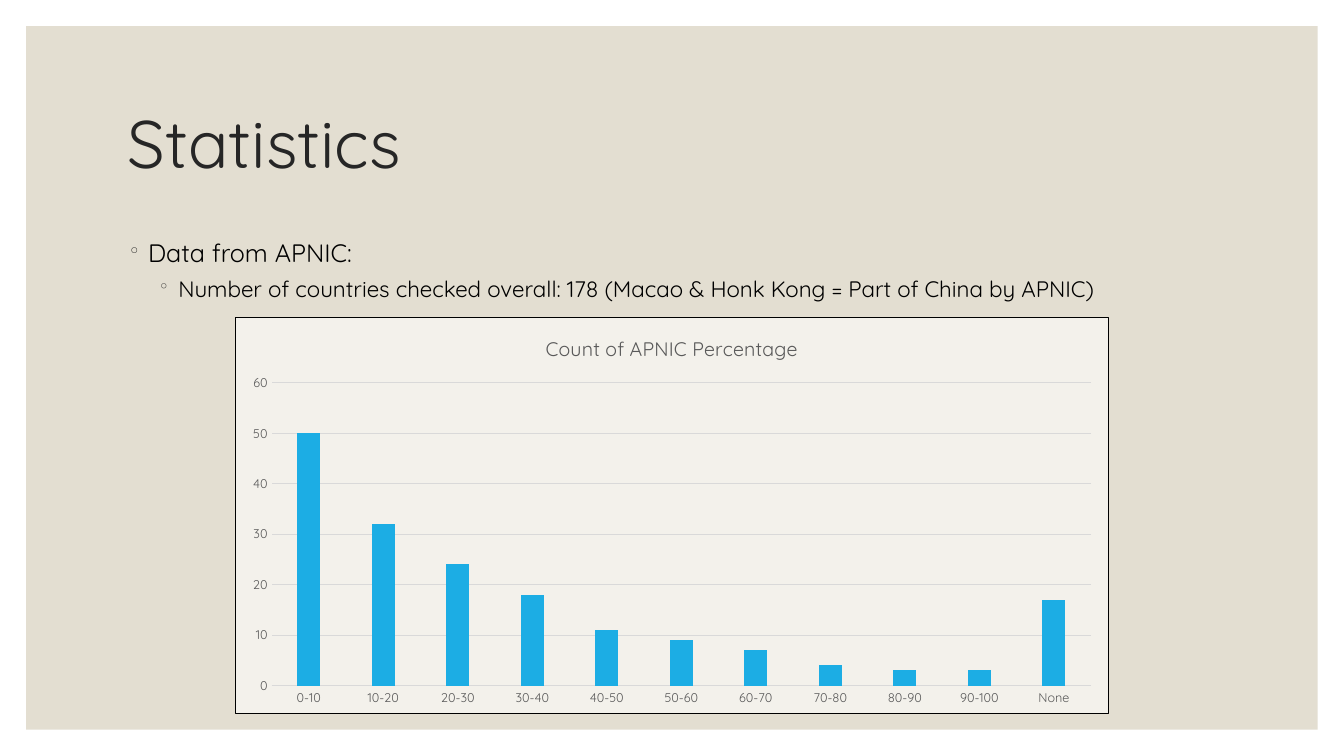
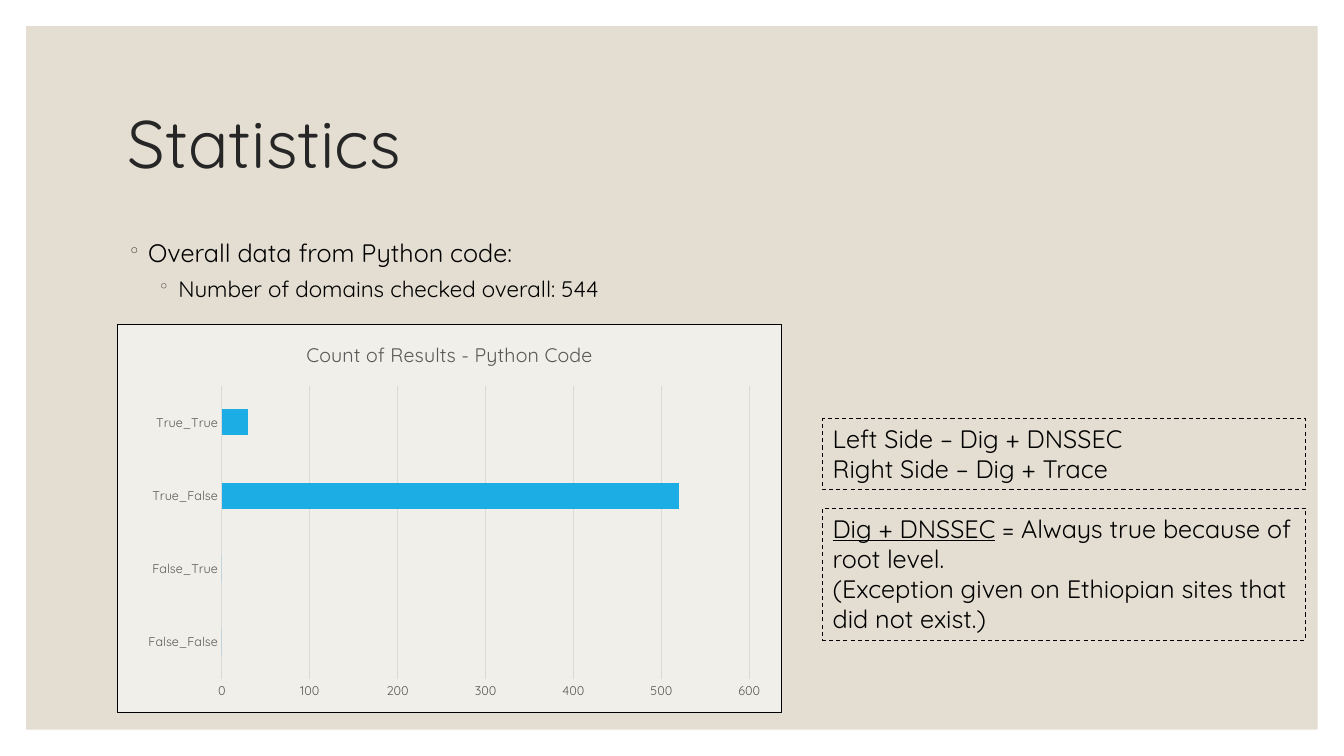
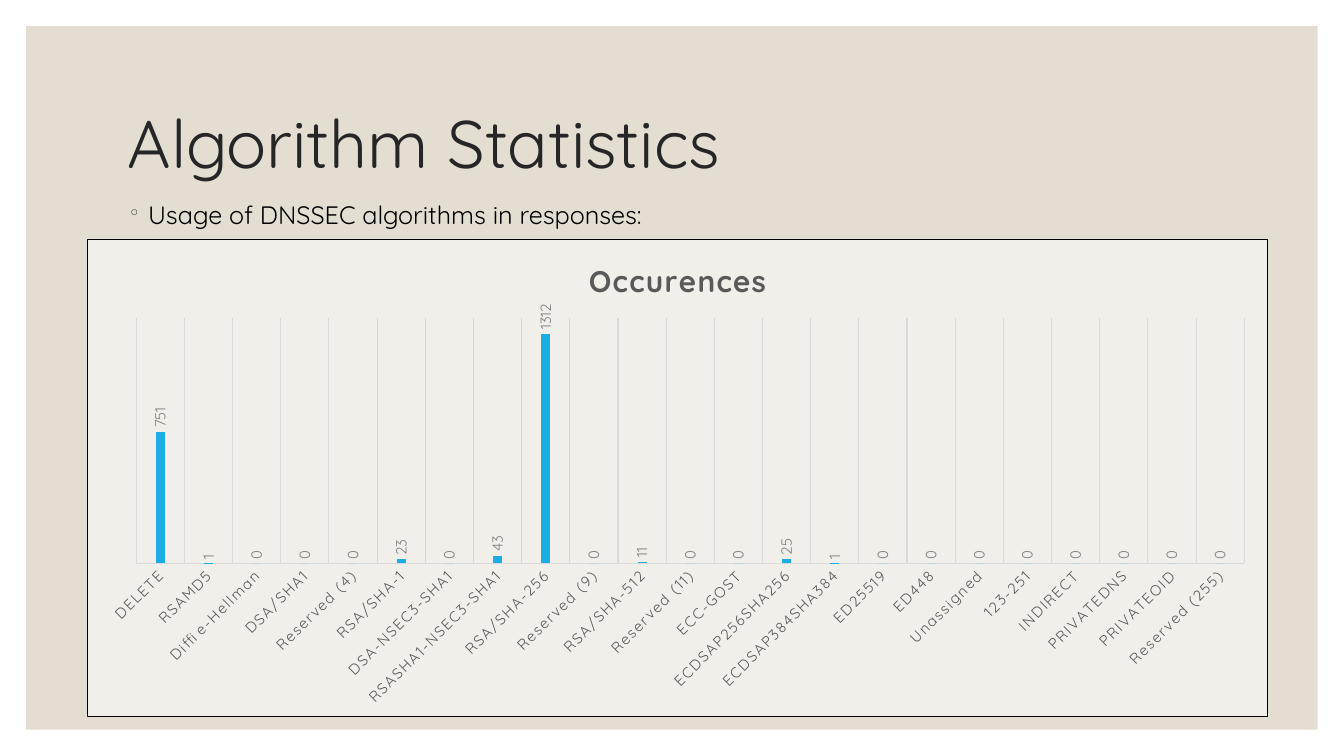
from lxml.etree import SubElement
from pptx import Presentation
from pptx.chart.data import CategoryChartData
from pptx.dml.color import RGBColor
from pptx.enum.chart import XL_CHART_TYPE, XL_LABEL_POSITION, XL_TICK_MARK
from pptx.enum.dml import MSO_LINE
from pptx.enum.shapes import MSO_SHAPE
from pptx.enum.text import MSO_ANCHOR
from pptx.oxml import parse_xml
from pptx.oxml.ns import nsdecls, qn
from pptx.util import Inches, Pt

COLORS = {
    "panel": "E3DED1",
    "title": "262626",
    "text": "000000",
    "axis": "595959",
    "grid": "D9D9D9",
    "label": "808080",
    "bar": "1CADE4",
    "chart": "FFFFFF",
}
FONT = "Quicksand"
HAIRLINE = Pt(0.75)


def color(name):
    return RGBColor.from_string(COLORS[name])


def style_font(font, size, color_name="text", bold=False):
    font.name = FONT
    font.size = Pt(size)
    font.bold = bold
    font.color.rgb = color(color_name)


def style_line(line, color_name):
    line.color.rgb = color(color_name)
    line.width = HAIRLINE


class Deck:
    def __init__(self):
        self.presentation = Presentation()
        self.presentation.slide_width = Inches(13.33)
        self.presentation.slide_height = Inches(7.5)
        self.slide = None

    def add_slide(self, title):
        """Start a slide with the framed panel and its title."""
        self.slide = self.presentation.slides.add_slide(self.presentation.slide_layouts[6])
        panel = self.slide.shapes.add_shape(
            MSO_SHAPE.RECTANGLE, Inches(0.26), Inches(0.26), Inches(12.81), Inches(6.98))
        panel.shadow.inherit = False
        panel.fill.solid()
        panel.fill.fore_color.rgb = color("panel")
        panel.line.fill.background()

        frame = self.add_text_frame(1.17, 0.71, 11, 1.5)
        frame.vertical_anchor = MSO_ANCHOR.MIDDLE
        frame.text = title
        paragraph = frame.paragraphs[0]
        paragraph.line_spacing = 0.9
        style_font(paragraph.runs[0].font, 48, "title")

    def add_text_frame(self, left, top, width, height, dashed=False):
        box = self.slide.shapes.add_textbox(
            Inches(left), Inches(top), Inches(width), Inches(height))
        box.text_frame.word_wrap = True
        if dashed:
            style_line(box.line, "text")
            box.line.dash_style = MSO_LINE.DASH
        return box.text_frame

    def add_bullets(self, top, lines):
        """Add one bullet per line, each line one level deeper."""
        frame = self.add_text_frame(1.17, top, 11, 0.8)
        frame.text = "\n".join(lines)
        for level, paragraph in enumerate(frame.paragraphs):
            paragraph.level = level
            properties = paragraph._p.get_or_add_pPr()
            properties.set("marL", str(Inches(0.2 + 0.3 * level)))
            properties.set("indent", str(Inches(-0.2)))
            bullet_color = SubElement(properties, qn("a:buClr"))
            SubElement(bullet_color, qn("a:srgbClr"), val=COLORS["title"])
            SubElement(properties, qn("a:buSzPct"), val="65000")
            SubElement(properties, qn("a:buChar"), char="◦")
            if level:
                paragraph.space_before = Pt(5)
            style_font(paragraph.runs[0].font, 18 - 2 * level)

    def add_note(self, top, height, paragraphs):
        """Add a dashed box; paragraphs are lists of (text, underlined)."""
        frame = self.add_text_frame(8.16, top, 4.79, height, dashed=True)
        for index, parts in enumerate(paragraphs):
            paragraph = frame.add_paragraph() if index else frame.paragraphs[0]
            for text, underlined in parts:
                run = paragraph.add_run()
                run.text = text
                style_font(run.font, 18)
                run.font.underline = underlined

    def add_bar_chart(self, box, title, counts, gap, overlap=0, horizontal=False,
                      opacity=53, title_size=14, title_bold=False, axis_size=9):
        """Add a one-series bar chart on a translucent white, outlined area."""
        data = CategoryChartData()
        data.categories = list(counts)
        data.add_series(title, list(counts.values()))
        kind = XL_CHART_TYPE.BAR_CLUSTERED if horizontal else XL_CHART_TYPE.COLUMN_CLUSTERED
        chart = self.slide.shapes.add_chart(kind, *map(Inches, box), data).chart
        chart.has_legend = False
        style_font(chart.font, 10)
        chart.has_title = True
        chart.chart_title.text_frame.text = title
        run = chart.chart_title.text_frame.paragraphs[0].runs[0]
        style_font(run.font, title_size, "axis", title_bold)

        plot = chart.plots[0]
        plot.gap_width = gap
        plot.overlap = overlap
        plot.vary_by_categories = False
        fill = plot.series[0].format.fill
        fill.solid()
        fill.fore_color.rgb = color("bar")

        for axis in (chart.category_axis, chart.value_axis):
            axis.major_tick_mark = axis.minor_tick_mark = XL_TICK_MARK.NONE
            style_font(axis.tick_labels.font, axis_size, "axis")
        style_line(chart.category_axis.format.line, "grid")
        chart.value_axis.format.line.fill.background()
        self.show_gridlines(chart.value_axis)

        chart.element.find(qn("c:chart")).addnext(parse_xml(
            f'<c:spPr {nsdecls("c", "a")}><a:solidFill><a:srgbClr val="{COLORS["chart"]}">'
            f'<a:alpha val="{opacity * 1000}"/></a:srgbClr></a:solidFill>'
            f'<a:ln w="{HAIRLINE}"><a:solidFill><a:srgbClr val="{COLORS["text"]}"/>'
            '</a:solidFill></a:ln></c:spPr>'))
        return chart

    @staticmethod
    def show_gridlines(axis):
        axis.has_major_gridlines = True
        style_line(axis.major_gridlines.format.line, "grid")

    @staticmethod
    def set_scale(chart, maximum, step):
        axis = chart.value_axis
        axis.minimum_scale, axis.maximum_scale, axis.major_unit = 0, maximum, step

    @staticmethod
    def place_plot(chart, **percents):
        """Fix the inner plot area; x, y, w and h are percents of the chart."""
        plot_area = chart.element.find(".//" + qn("c:plotArea"))
        for layout in plot_area.findall(qn("c:layout")):
            plot_area.remove(layout)
        settings = {"layoutTarget": "inner", "xMode": "edge", "yMode": "edge"}
        settings.update((name, percent / 100) for name, percent in percents.items())
        content = "".join(f'<c:{name} val="{value}"/>' for name, value in settings.items())
        plot_area.insert(0, parse_xml(
            f'<c:layout {nsdecls("c")}><c:manualLayout>{content}</c:manualLayout></c:layout>'))

    @staticmethod
    def rotate_text(chart, parent, degrees, spacing=0):
        """Turn the text of a chart part and set its letter spacing in points."""
        text = chart.element.find(f".//{qn(parent)}/{qn('c:txPr')}")
        body = text.find(qn("a:bodyPr"))
        body.set("rot", str(degrees * 60000))
        body.set("vert", "horz")
        text.find(".//" + qn("a:defRPr")).set("spc", str(int(spacing * 100)))


def add_percentage_slide(deck):
    deck.add_slide("Statistics")
    deck.add_bullets(2.31, [
        "Data from APNIC:",
        "Number of countries checked overall: 178 (Macao & Honk Kong = Part of China by APNIC)",
    ])
    ranges = [f"{start}-{start + 10}" for start in range(0, 100, 10)] + ["None"]
    counts = dict(zip(ranges, [50, 32, 24, 18, 11, 9, 7, 4, 3, 3, 17]))
    chart = deck.add_bar_chart((2.33, 3.14, 8.67, 3.94), "Count of APNIC Percentage",
                               counts, gap=219, overlap=-27, opacity=58)
    deck.set_scale(chart, 60, 10)


def add_results_slide(deck):
    deck.add_slide("Statistics")
    deck.add_bullets(2.31, [
        "Overall data from Python code:",
        "Number of domains checked overall: 544",
    ])
    counts = {"False_False": 0, "False_True": 0, "True_False": 520, "True_True": 30}
    chart = deck.add_bar_chart((1.16, 3.21, 6.6, 3.86), "Count of Results - Python Code",
                               counts, gap=182, horizontal=True)
    deck.set_scale(chart, 600, 100)
    deck.place_plot(chart, x=15.7, y=15.9, w=79.4, h=75.5)
    deck.add_note(4.15, 0.71, [
        [("Left Side – Dig + DNSSEC", False)],
        [("Right Side – Dig + Trace", False)],
    ])
    deck.add_note(5.04, 1.31, [
        [("Dig + DNSSEC", True), (" = Always true because of root level.", False)],
        [("(Exception given on Ethiopian sites that did not exist.)", False)],
    ])


def add_algorithm_slide(deck):
    deck.add_slide("Algorithm Statistics")
    deck.add_bullets(1.93, ["Usage of DNSSEC algorithms in responses:"])
    algorithms = [
        "DELETE", "RSAMD5", "Diffie-Hellman", "DSA/SHA1", "Reserved (4)", "RSA/SHA-1",
        "DSA-NSEC3-SHA1", "RSASHA1-NSEC3-SHA1", "RSA/SHA-256", "Reserved (9)",
        "RSA/SHA-512", "Reserved (11)", "ECC-GOST", "ECDSAP256SHA256",
        "ECDSAP384SHA384", "ED25519", "ED448", "Unassigned", "123-251", "INDIRECT",
        "PRIVATEDNS", "PRIVATEOID", "Reserved (255)",
    ]
    found = {"DELETE": 751, "RSAMD5": 1, "RSA/SHA-1": 23, "RSASHA1-NSEC3-SHA1": 43,
             "RSA/SHA-256": 1312, "RSA/SHA-512": 11, "ECDSAP256SHA256": 25,
             "ECDSAP384SHA384": 1}
    counts = {name: found.get(name, 0) for name in algorithms}
    chart = deck.add_bar_chart((0.86, 2.37, 11.72, 4.74), "Occurences", counts, gap=444,
                               overlap=-90, title_size=21.3, title_bold=True, axis_size=10.6)
    deck.set_scale(chart, 1400, 200)
    chart.value_axis.has_major_gridlines = False
    chart.value_axis.visible = False
    deck.show_gridlines(chart.category_axis)
    deck.rotate_text(chart, "c:catAx", -45, spacing=1.2)

    title_run = chart.chart_title.text_frame.paragraphs[0].runs[0]
    title_run.font._element.set("spc", "110")

    plot = chart.plots[0]
    plot.has_data_labels = True
    labels = plot.data_labels
    labels.show_value = True
    labels.position = XL_LABEL_POSITION.OUTSIDE_END
    style_font(labels.font, 10.6, "label")
    deck.rotate_text(chart, "c:dLbls", -90)


def main():
    deck = Deck()
    add_percentage_slide(deck)
    add_results_slide(deck)
    add_algorithm_slide(deck)
    deck.presentation.save("out.pptx")


if __name__ == "__main__":
    main()
